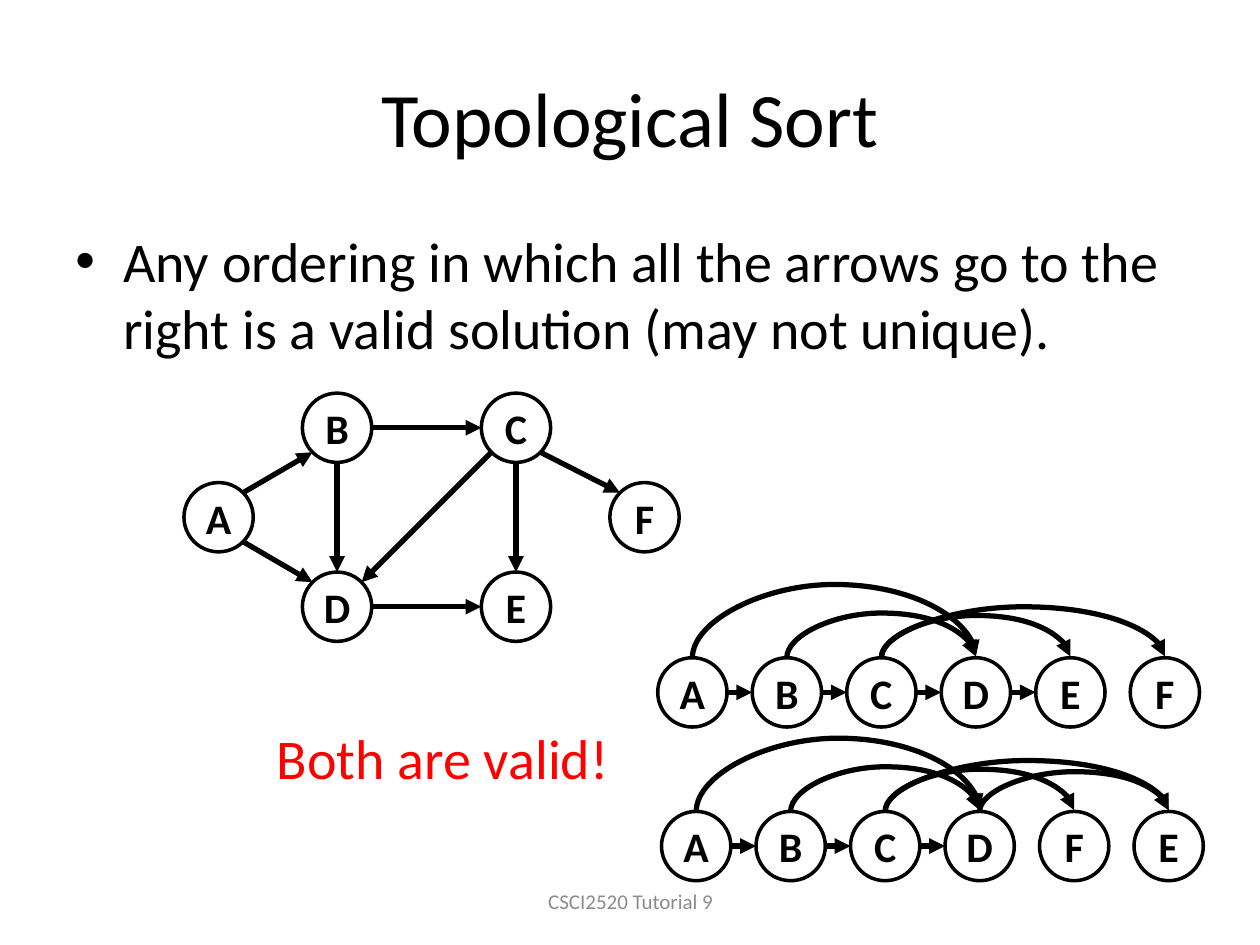
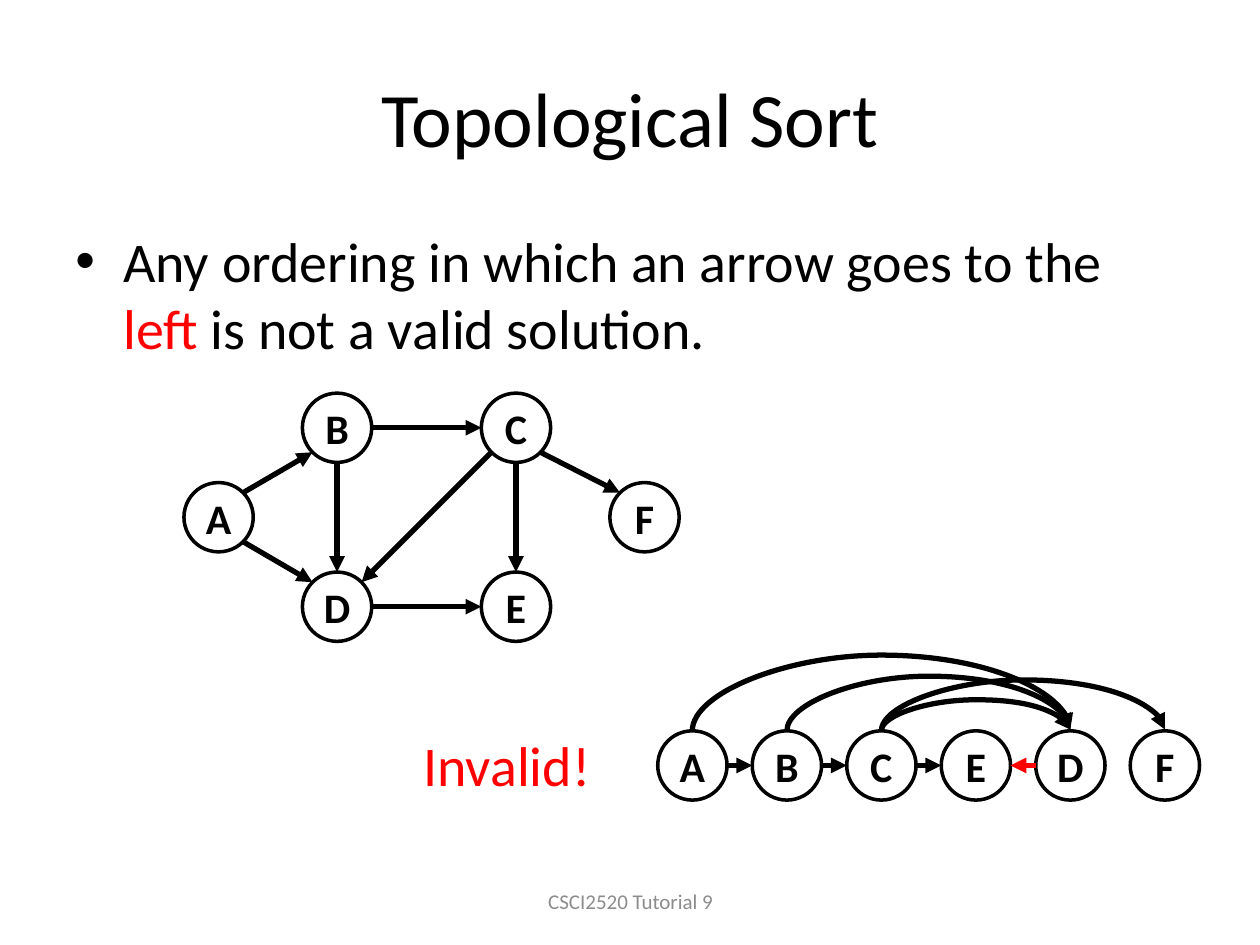
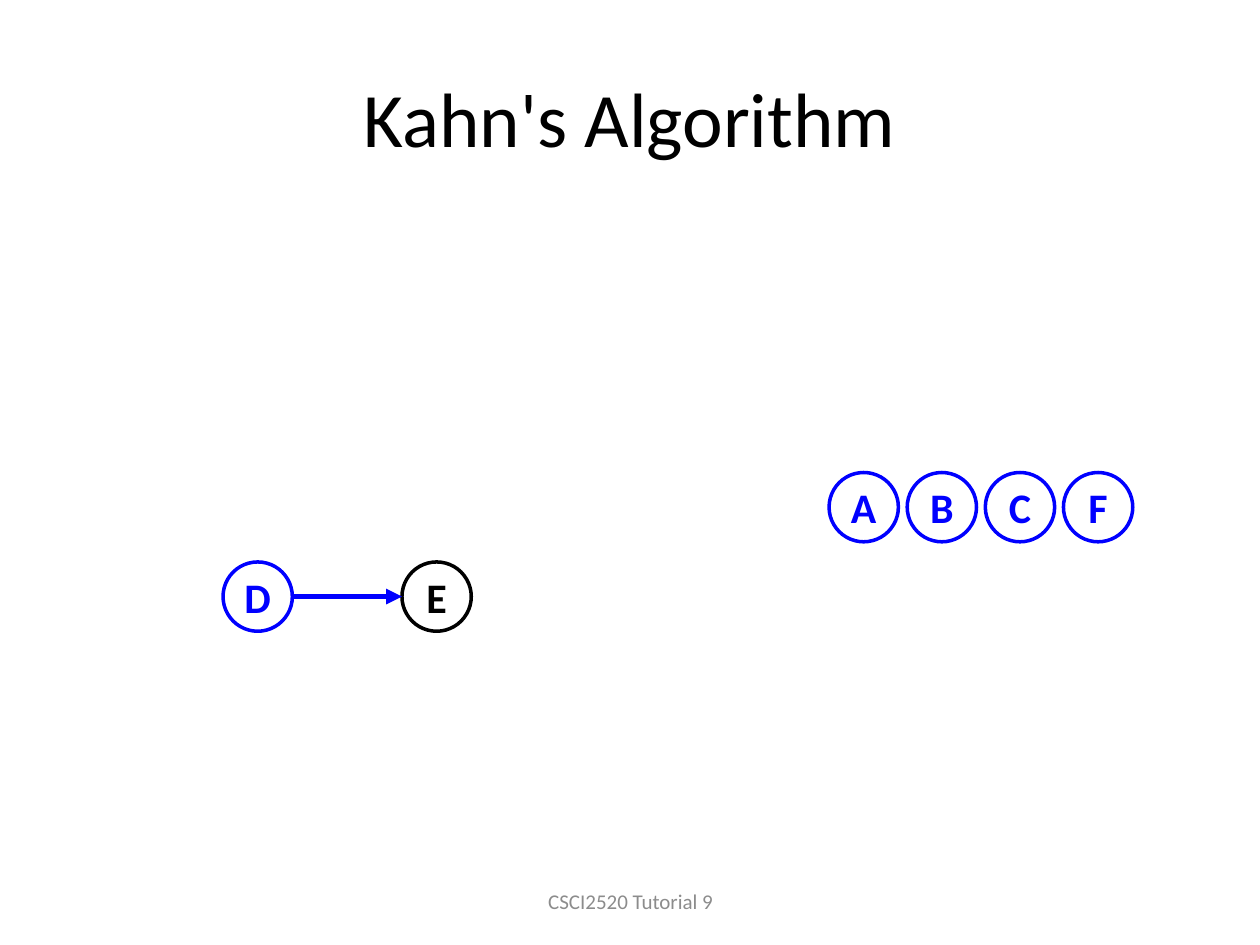
from math import atan2, cos, pi, sin

from lxml.etree import SubElement
from pptx import Presentation
from pptx.dml.color import RGBColor
from pptx.enum.shapes import MSO_CONNECTOR as Link, MSO_SHAPE as Preset
from pptx.enum.text import MSO_ANCHOR as Anchor, PP_ALIGN as Align
from pptx.oxml.ns import qn
from pptx.util import Inches, Pt

FONT = "Calibri"
BLACK, WHITE, RED, BLUE, GRAY = "000000", "FFFFFF", "FF0000", "0000FF", "8C8C8C"
TITLE_ONLY = 5
NODE = 0.55
STEP = 0.75
ARC_DEPTH = 0.01

GRAPH_NODES = {
    "A": (1.46, 3.83), "B": (2.4, 3.12), "C": (3.82, 3.12),
    "D": (2.4, 4.54), "E": (3.82, 4.54), "F": (4.84, 3.83),
}
GRAPH_EDGES = ["AB", "BC", "DE", "AD", "CD", "CE", "BD", "CF"]


def color(value):
    return RGBColor.from_string(value)


def style(font, size, ink=BLACK, bold=False):
    font.name = FONT
    font.size = Pt(size)
    font.bold = bold
    font.color.rgb = color(ink)


def add_label(slide, box, text, size, ink, wrap=True):
    label = slide.shapes.add_textbox(*map(Inches, box))
    frame = label.text_frame
    frame.word_wrap = wrap
    paragraph = frame.paragraphs[0]
    paragraph.text = text
    style(paragraph.font, size, ink)
    return frame


def add_titled_slide(deck, heading):
    slide = deck.slides.add_slide(deck.slide_layouts[TITLE_ONLY])
    title = slide.shapes.title
    title.left, title.top, title.width, title.height = map(Inches, (0.5, 0.3, 9, 1.25))
    title.text_frame.vertical_anchor = Anchor.MIDDLE
    paragraph = title.text_frame.paragraphs[0]
    paragraph.text = heading
    paragraph.alignment = Align.CENTER
    style(paragraph.font, 44)
    footer = add_label(slide, (3.42, 6.95, 3.17, 0.4), "CSCI2520 Tutorial 9", 12, GRAY)
    footer.vertical_anchor = Anchor.MIDDLE
    footer.paragraphs[0].alignment = Align.CENTER
    return slide


def add_statement(slide, *parts):
    statement = slide.shapes.add_textbox(*map(Inches, (0.5, 1.75, 9, 4.95)))
    frame = statement.text_frame
    frame.word_wrap = True
    paragraph = frame.paragraphs[0]
    properties = paragraph._p.get_or_add_pPr()
    indent = Inches(0.38)
    properties.set("marL", str(indent))
    properties.set("indent", str(-indent))
    SubElement(properties, qn("a:buFont"), typeface="Arial")
    SubElement(properties, qn("a:buChar"), char="•")
    for text, ink in parts:
        run = paragraph.add_run()
        run.text = text
        style(run.font, 32, ink)


def add_node(slide, letter, left, top, ink=BLACK):
    node = slide.shapes.add_shape(
        Preset.OVAL, Inches(left), Inches(top), Inches(NODE), Inches(NODE))
    node.shadow.inherit = False
    node.fill.solid()
    node.fill.fore_color.rgb = color(WHITE)
    node.line.color.rgb = color(ink)
    node.line.width = Pt(2)
    frame = node.text_frame
    frame.word_wrap = False
    frame.margin_left = frame.margin_right = frame.margin_top = frame.margin_bottom = 0
    frame.vertical_anchor = Anchor.MIDDLE
    paragraph = frame.paragraphs[0]
    paragraph.text = letter
    paragraph.alignment = Align.CENTER
    style(paragraph.font, 24, ink, bold=True)
    return node


def finish_arrow(arrow, ink):
    arrow.line.color.rgb = color(ink)
    arrow.line.width = Pt(3)
    SubElement(arrow.line._get_or_add_ln(), qn("a:tailEnd"), type="triangle")
    SubElement(arrow._element.spPr, qn("a:effectLst"))


def add_edge(slide, source, target, ink=BLACK):
    angle = atan2(target.top - source.top, target.left - source.left)
    angle = round(angle / (pi / 4)) * pi / 4
    radius = source.width / 2
    dx, dy = radius * cos(angle), radius * sin(angle)
    ends = (source.left + radius + dx, source.top + radius + dy,
            target.left + radius - dx, target.top + radius - dy)
    edge = slide.shapes.add_connector(Link.STRAIGHT, *map(round, ends))
    finish_arrow(edge, ink)


def add_arc(slide, source, target, rise):
    arc = slide.shapes.add_connector(Link.CURVE, 0, 0, 0, 0)
    arc.begin_connect(source, 0)
    arc.end_connect(target, 0)
    span = target.left - source.left
    depth = Inches(ARC_DEPTH)
    middle = (source.left + target.left + source.width) // 2
    arc.left, arc.top = middle - depth // 2, source.top - depth // 2 - span // 2
    arc.width, arc.height = depth, span
    transform = arc._element.spPr.find(qn("a:xfrm"))
    transform.set("rot", str(90 * 60000))
    transform.set("flipH", "1")
    transform.set("flipV", "1")
    adjustments = arc._element.spPr.find(qn("a:prstGeom")).find(qn("a:avLst"))
    ratio = round(rise / ARC_DEPTH * 100000)
    SubElement(adjustments, qn("a:gd"), name="adj1", fmla=f"val {ratio}")
    finish_arrow(arc, BLACK)


def add_graph(slide):
    nodes = {letter: add_node(slide, letter, *place)
             for letter, place in GRAPH_NODES.items()}
    for source, target in GRAPH_EDGES:
        add_edge(slide, nodes[source], nodes[target])


def add_row(slide, order, left, top, step=STEP, ink=BLACK):
    return {letter: add_node(slide, letter, left + i * step, top, ink)
            for i, letter in enumerate(order)}


def add_ordering(slide, order, left, top, edges, arcs):
    nodes = add_row(slide, order, left, top)
    for source, target in edges:
        backward = order.index(target) < order.index(source)
        add_edge(slide, nodes[source], nodes[target], RED if backward else BLACK)
    for (source, target), rise in arcs.items():
        add_arc(slide, nodes[source], nodes[target], rise)


def add_valid_slide(deck):
    slide = add_titled_slide(deck, "Topological Sort")
    add_statement(slide, ("Any ordering in which all the arrows go to the right "
                          "is a valid solution (may not unique).", BLACK))
    add_graph(slide)
    add_ordering(slide, "ABCDEF", 5.22, 5.22, ["AB", "BC", "CD", "DE"],
                 {"AD": 0.59, "BD": 0.36, "CE": 0.34, "CF": 0.41})
    add_ordering(slide, "ABCDFE", 5.25, 6.44, ["AB", "BC", "CD"],
                 {"AD": 0.59, "BD": 0.36, "CF": 0.34, "CE": 0.41, "DE": 0.32})
    add_label(slide, (2.1, 5.69, 2.86, 0.64), "Both are valid!", 32, RED, wrap=False)


def add_invalid_slide(deck):
    slide = add_titled_slide(deck, "Topological Sort")
    add_statement(slide, ("Any ordering in which an arrow goes to the ", BLACK),
                  ("left", RED), (" is not a valid solution.", BLACK))
    add_graph(slide)
    add_ordering(slide, "ABCEDF", 5.22, 5.8, ["AB", "BC", "CE", "DE"],
                 {"AD": 0.61, "BD": 0.44, "CF": 0.41, "CD": 0.25})
    add_label(slide, (3.26, 5.75, 1.55, 0.64), "Invalid!", 32, RED, wrap=False)


def add_kahn_slide(deck):
    slide = add_titled_slide(deck, "Kahn's Algorithm")
    add_row(slide, "ABCF", 6.58, 3.75, step=0.62, ink=BLUE)
    current = add_node(slide, "D", 1.77, 4.46, BLUE)
    waiting = add_node(slide, "E", 3.19, 4.46)
    add_edge(slide, current, waiting, BLUE)


def main():
    deck = Presentation()
    deck.slide_width, deck.slide_height = Inches(10), Inches(7.5)
    add_valid_slide(deck)
    add_invalid_slide(deck)
    add_kahn_slide(deck)
    deck.save("out.pptx")


if __name__ == "__main__":
    main()
